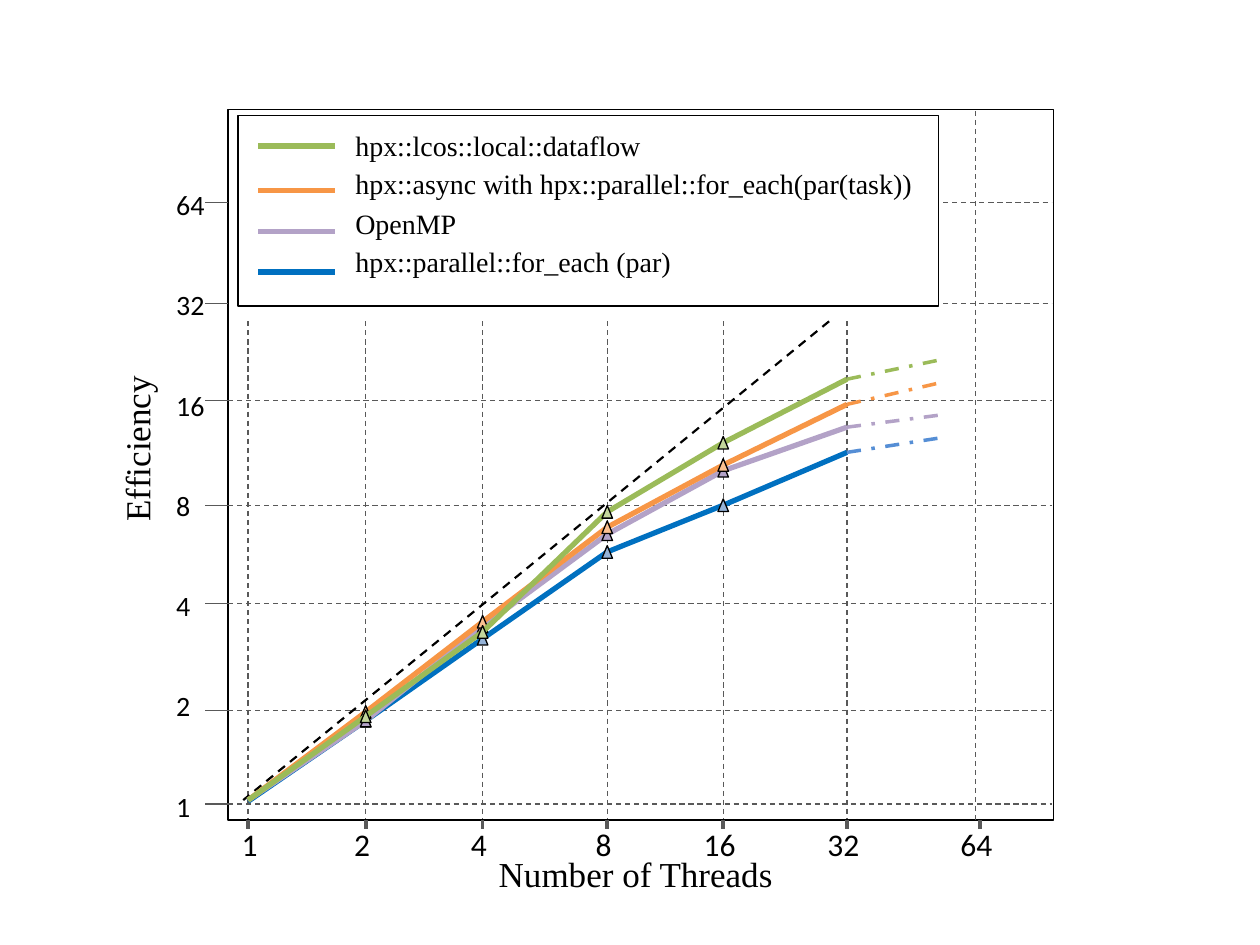
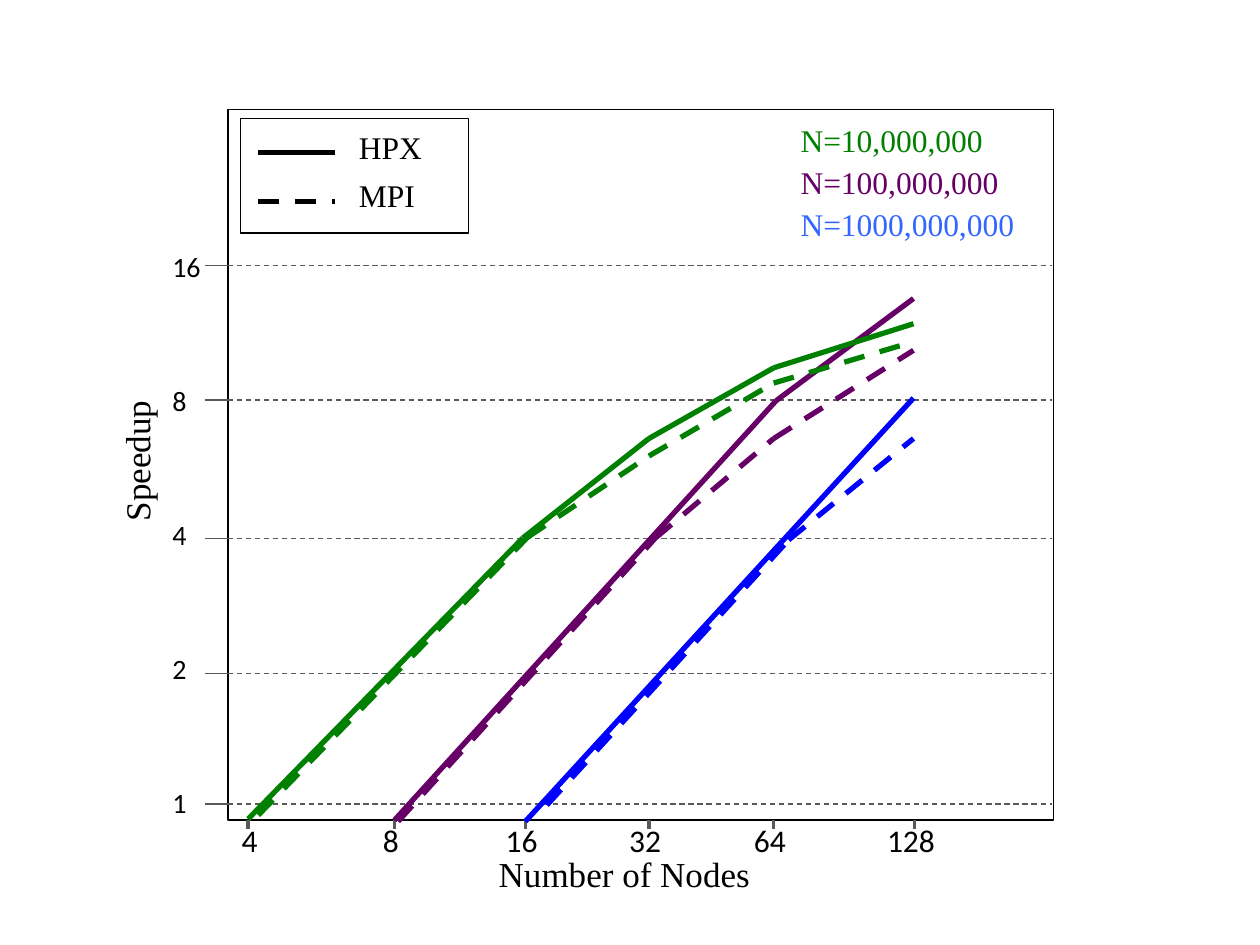
from itertools import pairwise
from lxml import etree
from pptx import Presentation
from pptx.dml.color import RGBColor
from pptx.enum import dml, shapes, text
from pptx.oxml import ns
from pptx.util import Pt

# Colours, fonts and dashes
BLACK = RGBColor(0x00, 0x00, 0x00)
GREY = RGBColor(0x59, 0x59, 0x59)
BLUE = RGBColor(0x00, 0x70, 0xC0)
MID_BLUE = RGBColor(0x55, 0x8E, 0xD5)
PALE_BLUE = RGBColor(0x95, 0xB3, 0xD7)
LILAC = RGBColor(0xB3, 0xA2, 0xC7)
ORANGE = RGBColor(0xF7, 0x96, 0x46)
PALE_ORANGE = RGBColor(0xFA, 0xC0, 0x90)
OLIVE = RGBColor(0x9B, 0xBB, 0x59)
PALE_OLIVE = RGBColor(0xC3, 0xD6, 0x9B)
GREEN = RGBColor(0x00, 0x80, 0x00)
PLUM = RGBColor(0x66, 0x00, 0x66)
PURE_BLUE = RGBColor(0x00, 0x00, 0xFF)
SKY_BLUE = RGBColor(0x33, 0x66, 0xFF)
SERIF, SANS = "Times New Roman", "Calibri"
DASH, DASH_DOT = dml.MSO_LINE.DASH, dml.MSO_LINE.DASH_DOT

# Shared plot frame and legend key: left, top, width, height / start, end
FRAME = (130.3, 62.6, 471.6, 406.1)
FRAME_RIGHT, FRAME_BOTTOM = FRAME[0] + FRAME[2], FRAME[1] + FRAME[3]
KEY = (147.6, 191.5)

# Axes: (label, position) for every tick
EFFICIENCY = {
    "titles": ("Number of Threads", "Efficiency"),
    "x": [("1", 141.8), ("2", 209), ("4", 275.8), ("8", 347),
          ("16", 413.3), ("32", 484), ("64", 560)],
    "y": [("64", 115.9), ("32", 173.5), ("16", 229), ("8", 288.7),
          ("4", 344.9), ("2", 406), ("1", 459.4)],
    "x_label_top": 468, "y_label_left": 93.6,
    "y_label_bottom": 473.7, "y_label_pitch": 57.6,
}
SPEEDUP = {
    "titles": ("Number of Nodes", "Speedup"),
    "x": [("4", 141.8), ("8", 225.4), ("16", 300.2),
          ("32", 370.8), ("64", 442.1), ("128", 522.7)],
    "y": [("16", 151.9), ("8", 228.6), ("4", 307.8),
          ("2", 385), ("1", 459.4)],
    "x_label_top": 465.8, "y_label_left": 91.4,
    "y_label_bottom": 471.7, "y_label_pitch": 76.9,
}

# Efficiency: line, marker and trend colours, height per tick, trend end
EFFICIENCY_SERIES = [
    (BLUE, PALE_BLUE, MID_BLUE,
     (457.9, 411.8, 365, 315.4, 288.7, 258.5), (540, 249.8)),
    (LILAC, LILAC, LILAC,
     (457.2, 411.8, 358, 305.3, 269, 244.1), (539.3, 236.9)),
    (ORANGE, PALE_ORANGE, ORANGE,
     (457.2, 406.8, 355.3, 301.3, 265.7, 231.1), (536.4, 218.9)),
    (OLIVE, PALE_OLIVE, OLIVE,
     (457.2, 409.3, 361.1, 292.5, 253, 216.7), (539.3, 205.2)),
]
# Key colour, key height, label top, label
EFFICIENCY_LEGEND = [
    (OLIVE, 83.5, 69.8, "hpx::lcos::local::dataflow"),
    (ORANGE, 108.7, 91.6, "hpx::async with hpx::parallel::for_each(par(task))"),
    (LILAC, 132.5, 114.5, "OpenMP"),
    (BLUE, 155.5, 136.4, "hpx::parallel::for_each (par)"),
]

# Speedup: colour, dash, points
SPEEDUP_SERIES = [
    (PLUM, None, [(225.4, 468.7), (443.5, 229), (522, 170.6)]),
    (PURE_BLUE, None, [(300.2, 469.4), (522, 227.5)]),
    (PLUM, DASH, [(227.5, 469.4), (374.5, 307.5), (442.1, 250.6), (522, 200.2)]),
    (PURE_BLUE, DASH, [(312.5, 460.1), (450.7, 308.5), (522, 250.6)]),
    (GREEN, None, [(141.8, 468), (298.8, 307.4), (370.8, 250.6),
                   (442.1, 210.2), (522, 185)]),
    (GREEN, DASH, [(147.6, 465.8), (301.5, 307), (370.8, 260.6),
                   (442.1, 218.9), (522.7, 195.1)]),
]
SPEEDUP_LEGEND = [(None, 87.1, 69.8, "HPX"), (DASH, 115.2, 97.2, "MPI")]
PROBLEM_SIZES = [("N=10,000,000", GREEN), ("N=100,000,000", PLUM),
                 ("N=1000,000,000", SKY_BLUE)]


# Drawing helpers; canvas is the shape collection of a slide or a group
def add_line(canvas, start, end, colour, width, dash=None):
    points = [Pt(value) for value in (*start, *end)]
    connector = canvas.add_connector(shapes.MSO_CONNECTOR.STRAIGHT, *points)
    connector.line.color.rgb = colour
    connector.line.width = Pt(width)
    if dash:
        connector.line.dash_style = dash
    etree.SubElement(connector._element.spPr, ns.qn("a:effectLst"))


def add_polyline(canvas, points, colour, dash=None):
    for start, end in pairwise(points):
        add_line(canvas, start, end, colour, 3, dash)


def add_outline(canvas, kind, box, fill=None):
    shape = canvas.add_shape(kind, *[Pt(value) for value in box])
    shape.shadow.inherit = False
    if fill is None:
        shape.fill.background()
    else:
        shape.fill.solid()
        shape.fill.fore_color.rgb = fill
    shape.line.color.rgb = BLACK
    shape.line.width = Pt(0.75)


def add_text(canvas, box, lines, size, font=SERIF, colour=BLACK, gap=0):
    shape = canvas.add_textbox(*[Pt(value) for value in box])
    frame = shape.text_frame
    frame.word_wrap = True
    for index, line in enumerate(lines):
        paragraph = frame.add_paragraph() if index else frame.paragraphs[0]
        if index and gap:
            paragraph.space_before = Pt(gap)
        run = paragraph.add_run()
        run.text = line
        for name, value in {"name": font, "size": Pt(size)}.items():
            setattr(run.font, name, value)
        run.font.color.rgb = colour
    return shape


def add_axes(canvas, axes):
    add_outline(canvas, shapes.MSO_SHAPE.RECTANGLE, FRAME)
    for _, x in axes["x"]:
        add_line(canvas, (x, FRAME_BOTTOM), (x, FRAME_BOTTOM + 5), GREY, 2)
    for _, y in axes["y"]:
        add_line(canvas, (117.4, y), (FRAME[0], y), GREY, 0.75)

    # Labels under the frame sit on centred tab stops
    top = axes["x_label_top"]
    box = (131, top, 480, 28.8)
    labels = add_text(canvas, box, ["\t".join(label for label, _ in axes["x"])],
                      18, SANS)
    properties = labels.text_frame.paragraphs[0]._p.get_or_add_pPr()
    tabs = etree.SubElement(properties, ns.qn("a:tabLst"))
    for _, x in axes["x"][1:]:
        etree.SubElement(tabs, ns.qn("a:tab"), algn="ctr",
                         pos=str(Pt(x - 2 - box[0] - 7.2)))

    # Labels beside the frame are evenly pitched and stand on the bottom
    bottom, top = axes["y_label_bottom"], 42
    labels = add_text(canvas, (axes["y_label_left"], top, 34, bottom - top),
                      [label for label, _ in axes["y"]], 16, SANS,
                      gap=axes["y_label_pitch"] - 19.5)
    labels.text_frame.vertical_anchor = text.MSO_ANCHOR.BOTTOM

    x_title, y_title = axes["titles"]
    add_text(canvas, (277.9, 483.8, 185, 31.7), [x_title], 20)
    add_text(canvas, (13, 224, 130.3, 31.7), [y_title], 20).rotation = 270


def add_grid_rows(canvas, ticks, left=FRAME[0]):
    for _, y in ticks:
        add_line(canvas, (left, y), (FRAME_RIGHT - 1, y), GREY, 0.75, DASH)


presentation = Presentation()
presentation.slide_width, presentation.slide_height = Pt(720), Pt(540)
blank = presentation.slide_layouts[6]

# Slide 1: efficiency by threads
canvas = presentation.slides.add_slide(blank).shapes
add_axes(canvas, EFFICIENCY)
add_grid_rows(canvas, EFFICIENCY["y"][:2], left=539)
add_grid_rows(canvas, EFFICIENCY["y"][2:])
columns = [x for _, x in EFFICIENCY["x"][:-1]]
for x in columns:
    add_line(canvas, (x, 183.6), (x, 468), GREY, 0.75, DASH)
add_line(canvas, (557.3, 63.4), (557.3, 469), GREY, 0.75, DASH)
add_line(canvas, (473.8, 183.6), (139, 457.2), BLACK, 1.25, DASH)

for colour, marker, trend, heights, trend_end in EFFICIENCY_SERIES:
    points = list(zip(columns, heights))
    add_polyline(canvas, points, colour)
    for x, y in points[1:-1]:
        add_outline(canvas, shapes.MSO_SHAPE.ISOSCELES_TRIANGLE,
                    (x - 3, y - 3.6, 6, 7.2), marker)
    add_line(canvas, points[-1], trend_end, trend, 2, DASH_DOT)

add_outline(canvas, shapes.MSO_SHAPE.RECTANGLE, (136.1, 66.2, 400.3, 108.7))
for colour, y, top, label in EFFICIENCY_LEGEND:
    add_line(canvas, (KEY[0], y), (KEY[1], y), colour, 3)
    add_text(canvas, (196, top, 345, 26.6), [label], 16)

# Slide 2: speedup by nodes, kept as one group
canvas = presentation.slides.add_slide(blank).shapes.add_group_shape().shapes
add_axes(canvas, SPEEDUP)
add_grid_rows(canvas, SPEEDUP["y"])
for colour, dash, points in SPEEDUP_SERIES:
    add_polyline(canvas, points, colour, dash)

add_outline(canvas, shapes.MSO_SHAPE.RECTANGLE, (137.5, 67.7, 130.3, 65.5))
for dash, y, top, label in SPEEDUP_LEGEND:
    add_line(canvas, (KEY[0], y), (KEY[1], y), BLACK, 3, dash)
    add_text(canvas, (198, top, 60, 28.8), [label], 18)
for row, (label, colour) in enumerate(PROBLEM_SIZES):
    add_text(canvas, (450.4, 65.5 + 24 * row, 152, 28.8), [label], 18,
             colour=colour)

presentation.save("out.pptx")
